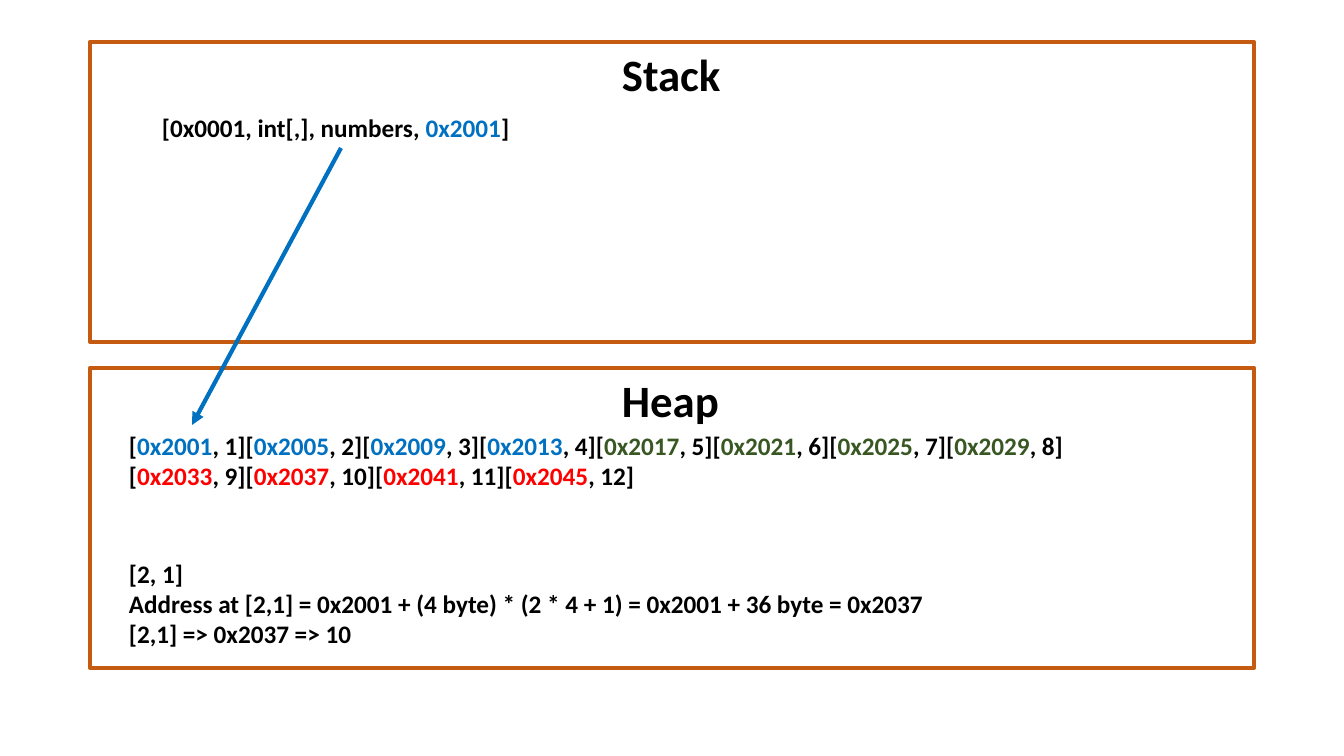
from typing import NamedTuple

from pptx import Presentation
from pptx.dml.color import RGBColor
from pptx.enum.shapes import MSO_CONNECTOR, MSO_SHAPE
from pptx.enum.text import MSO_AUTO_SIZE
from pptx.oxml.ns import qn
from pptx.util import Emu, Pt
from lxml.etree import SubElement

PX_PER_INCH = 100.8
BLACK = RGBColor(0, 0, 0)
ORANGE = RGBColor(0xC5, 0x5A, 0x11)
BLUE = RGBColor(0x00, 0x70, 0xC0)
GREEN = RGBColor(0x38, 0x57, 0x23)
RED = RGBColor(0xFF, 0, 0)


class Run(NamedTuple):
    text: str
    color: RGBColor = BLACK


class Box(NamedTuple):
    left: int
    top: int
    width: int
    height: int


class MemoryArea(NamedTuple):
    name: str
    top: int
    name_width: int


Line = list[Run]


def px(value: int) -> Emu:
    return Emu(round(value * 914400 / PX_PER_INCH))


def add_text(shapes, box: Box, lines: list[Line], size: int = 18,
             wrap: bool = False) -> None:
    frame = shapes.add_textbox(*map(px, box)).text_frame
    frame.word_wrap = wrap
    frame.auto_size = MSO_AUTO_SIZE.SHAPE_TO_FIT_TEXT
    for index, line in enumerate(lines):
        paragraph = frame.add_paragraph() if index else frame.paragraphs[0]
        font = paragraph.font
        font.name, font.size, font.bold = "Calibri", Pt(size), True
        for part in line:
            run = paragraph.add_run()
            run.text = part.text
            run.font.color.rgb = part.color


def add_area(shapes, area: MemoryArea) -> None:
    group = shapes.add_group_shape().shapes
    frame = group.add_shape(MSO_SHAPE.RECTANGLE,
                            *map(px, Box(90, area.top, 1164, 300)))
    frame.shadow.inherit = False
    frame.fill.background()
    frame.line.color.rgb = ORANGE
    frame.line.width = Pt(3)
    add_text(group, Box(612, area.top, area.name_width, 64),
             [[Run(area.name)]], size=32)


def add_arrow(shapes, start: tuple[int, int], end: tuple[int, int]) -> None:
    arrow = shapes.add_connector(MSO_CONNECTOR.STRAIGHT,
                                 *map(px, start + end))
    arrow.line.color.rgb = BLUE
    arrow.line.width = Pt(3)
    properties = arrow.element.spPr
    SubElement(properties.find(qn("a:ln")), qn("a:tailEnd"), type="triangle")
    SubElement(properties, qn("a:effectLst"))


def heap_cells(first: int, last: int) -> Line:
    """Cells hold four bytes each; every array row of four has its colour."""
    cells: Line = []
    for value in range(first, last + 1):
        index = value - 1
        color = (BLUE, GREEN, RED)[index // 4]
        cells += [Run("["), Run(f"0x{2001 + 4 * index}", color),
                  Run(f", {value}]")]
    return cells


presentation = Presentation()
presentation.slide_width, presentation.slide_height = px(1344), px(756)
slide = presentation.slides.add_slide(presentation.slide_layouts[6])
shapes = slide.shapes

# Memory areas
for area in (MemoryArea("Stack", 42, 120), MemoryArea("Heap", 368, 118)):
    add_area(shapes, area)

# Variable on the stack
add_text(shapes, Box(152, 107, 377, 40),
         [[Run("[0x0001, int[,], numbers, "), Run("0x2001", BLUE), Run("] ")]])

# Array cells on the heap
add_text(shapes, Box(119, 425, 963, 72),
         [heap_cells(1, 8), heap_cells(9, 12)], wrap=True)

# Reference from the variable to the first cell
add_arrow(shapes, (341, 148), (192, 425))

# Address calculation
calculation = (
    "[2, 1] ",
    "Address at [2,1] = 0x2001 + (4 byte) * (2 * 4 + 1)"
    " = 0x2001 + 36 byte = 0x2037",
    "[2,1] => 0x2037 => 10 ",
)
add_text(shapes, Box(119, 553, 825, 102), [[Run(step)] for step in calculation])

presentation.save("out.pptx")
